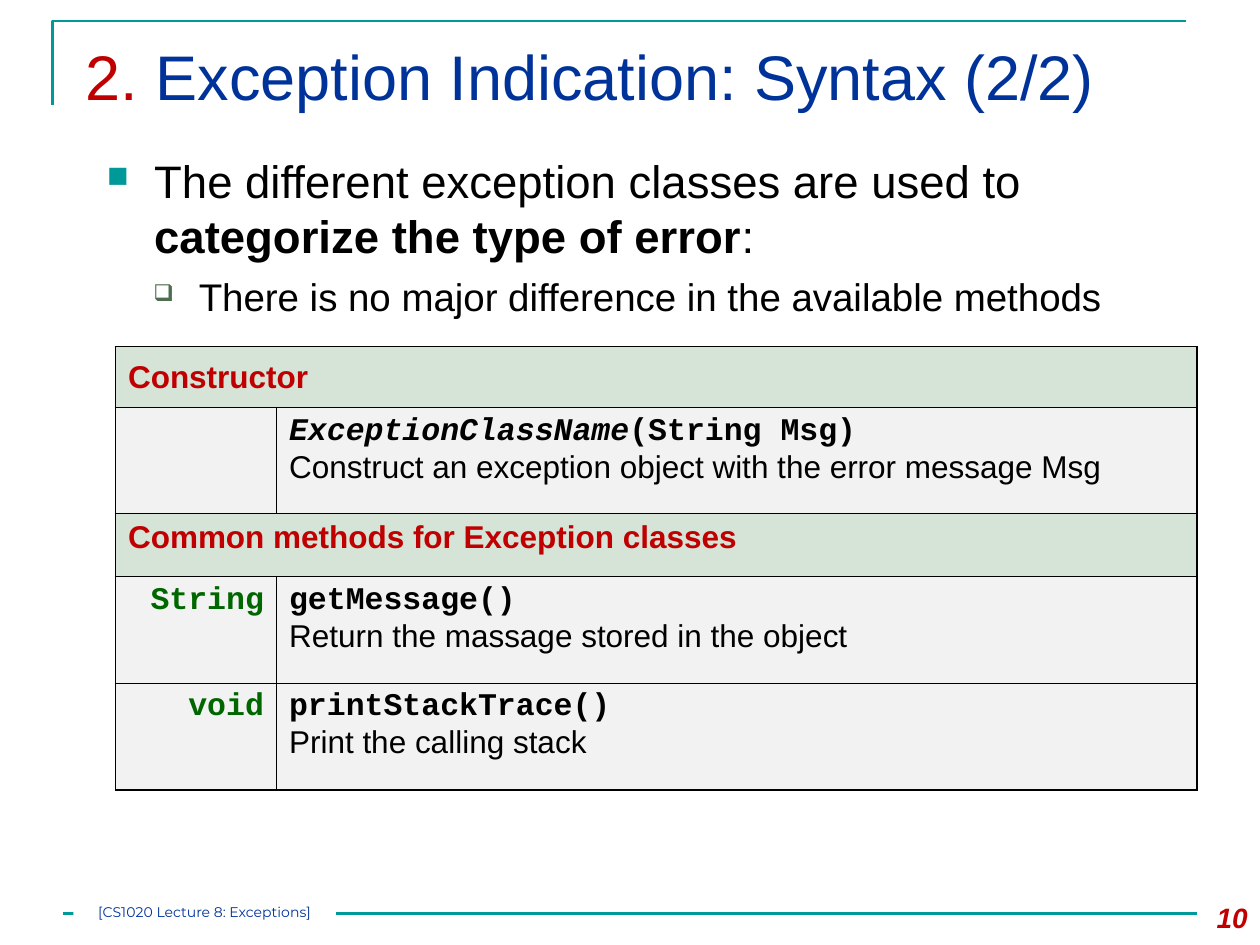
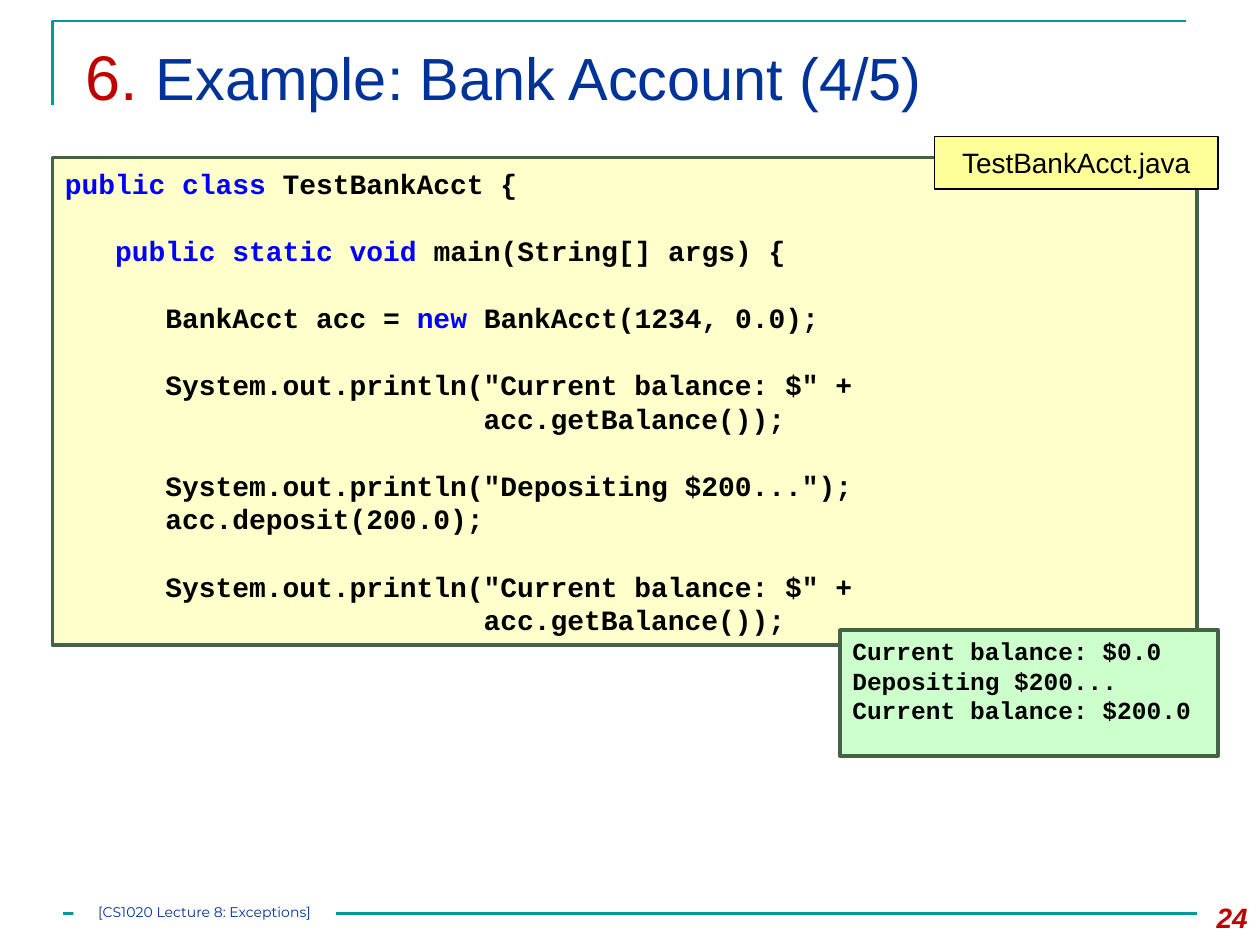
from typing import NamedTuple

from lxml.etree import SubElement
from pptx import Presentation
from pptx.dml.color import RGBColor
from pptx.enum.shapes import MSO_CONNECTOR, MSO_SHAPE
from pptx.enum.text import MSO_ANCHOR, PP_ALIGN
from pptx.oxml.ns import qn
from pptx.util import Pt

TEAL, NAVY, RED, BLACK, WHITE = "009999", "003399", "C00000", "000000", "FFFFFF"
GREEN, KEYWORD, MOSS, DARK_GREEN = "006600", "0000FF", "4C6D4E", "446246"
HEADER_FILL, ROW_FILL = "D6E3D7", "F2F2F2"
SANS, MONO, FOOTER_FONT = "Arial", "Courier New", "Montserrat"
LINE_FACTOR = 1.2
FOOTER = "[CS1020 Lecture 8: Exceptions]"


class Box(NamedTuple):
    left: float
    top: float
    width: float
    height: float

    def points(self):
        return [Pt(value) for value in self]


class Bullet(NamedTuple):
    character: str
    color: str
    percent: int
    margin: float
    hanging: float


class Method(NamedTuple):
    returns: str
    name: str
    purpose: str


class CodeLine(NamedTuple):
    before: str = ""
    keyword: str = ""
    after: str = ""


SQUARE = Bullet("■", TEAL, 65, 27, 27)
HOLLOW_SQUARE = Bullet("❑", MOSS, 60, 52.5, 26)

METHODS = [
    Method("String", "getMessage()", "Return the massage stored in the object"),
    Method("void", "printStackTrace()", "Print the calling stack"),
]

PRINT_BALANCE = [
    CodeLine('      System.out.println("Current balance: $" +'),
    CodeLine("                         acc.getBalance());"),
]
CODE = [
    CodeLine("", "public class ", "TestBankAcct {"),
    CodeLine(),
    CodeLine("   ", "public static void ", "main(String[] args) {"),
    CodeLine(),
    CodeLine("      BankAcct acc = ", "new ", "BankAcct(1234, 0.0);"),
    CodeLine(),
    *PRINT_BALANCE,
    CodeLine(),
    CodeLine('      System.out.println("Depositing $200...");'),
    CodeLine("      acc.deposit(200.0);"),
    CodeLine(),
    *PRINT_BALANCE,
]
OUTPUT = ["Current balance: $0.0", "Depositing $200...", "Current balance: $200.0"]


def rgb(color: str) -> RGBColor:
    return RGBColor.from_string(color)


# Text
def write(paragraph, text: str, *, size=18, font=SANS, color=BLACK,
          bold=False, italic=False) -> None:
    run = paragraph.add_run()
    run.text = text
    run.font.size = Pt(size)
    run.font.name = font
    run.font.color.rgb = rgb(color)
    run.font.bold = bold
    run.font.italic = italic


def next_paragraph(frame, size: float, align=PP_ALIGN.LEFT):
    """Return the empty first paragraph, or a new one after written text."""
    first = frame.paragraphs[0]
    unused = len(frame.paragraphs) == 1 and first.line_spacing is None
    paragraph = first if unused else frame.add_paragraph()
    paragraph.line_spacing = Pt(size * LINE_FACTOR)
    paragraph.alignment = align
    return paragraph


def add_bullet(paragraph, bullet: Bullet) -> None:
    properties = paragraph._p.get_or_add_pPr()
    properties.set("marL", str(Pt(bullet.margin)))
    properties.set("indent", str(-Pt(bullet.hanging)))
    color = SubElement(properties, qn("a:buClr"))
    SubElement(color, qn("a:srgbClr"), val=bullet.color)
    SubElement(properties, qn("a:buSzPct"), val=str(bullet.percent * 1000))
    SubElement(properties, qn("a:buChar"), char=bullet.character)


def add_text_box(slide, box: Box):
    frame = slide.shapes.add_textbox(*box.points()).text_frame
    frame.word_wrap = True
    return frame


# Shapes
def add_panel(slide, box: Box, fill: str, line="", line_width=2.0,
              anchor=MSO_ANCHOR.TOP):
    shape = slide.shapes.add_shape(MSO_SHAPE.RECTANGLE, *box.points())
    shape.shadow.inherit = False
    shape.fill.solid()
    shape.fill.fore_color.rgb = rgb(fill)
    if line:
        shape.line.color.rgb = rgb(line)
        shape.line.width = Pt(line_width)
    else:
        shape.line.fill.background()
    frame = shape.text_frame
    frame.word_wrap = True
    frame.vertical_anchor = anchor
    return frame


def add_frame(slide) -> None:
    """Draw the corner outline, the footer rule and the footer label."""
    builder = slide.shapes.build_freeform(Pt(30), Pt(60))
    builder.add_line_segments([(Pt(30), Pt(12)), (Pt(678), Pt(12))], close=False)
    corner = builder.convert_to_shape()
    corner.shadow.inherit = False
    corner.fill.background()
    rule = slide.shapes.add_connector(
        MSO_CONNECTOR.STRAIGHT, Pt(36), Pt(522), Pt(684), Pt(522))
    SubElement(rule._element.spPr, qn("a:effectLst"))
    for outline in (corner.line, rule.line):
        outline.color.rgb = rgb(TEAL)
        outline.width = Pt(1.5)
    label = add_panel(slide, Box(42, 516, 150, 12), WHITE)
    label.margin_left = label.margin_right = 0
    label.margin_top = label.margin_bottom = 0
    write(next_paragraph(label, 8, PP_ALIGN.CENTER), FOOTER,
          size=8, font=FOOTER_FONT, color=NAVY)


def start_slide(presentation, section: str, title: str, number: int, title_size=36):
    slide = presentation.slides.add_slide(presentation.slide_layouts[6])
    add_frame(slide)
    heading = next_paragraph(add_text_box(slide, Box(42, 18, 660, 62)), 36)
    write(heading, section, size=36, color=RED)
    write(heading, title, size=title_size, color=NAVY)
    page = add_text_box(slide, Box(672, 511, 48, 29))
    write(next_paragraph(page, 16, PP_ALIGN.RIGHT), str(number),
          size=16, color=RED, bold=True, italic=True)
    return slide


# Table
def style_cell(cell, fill: str) -> None:
    cell.fill.solid()
    cell.fill.fore_color.rgb = rgb(fill)
    properties = cell._tc.get_or_add_tcPr()
    for position, side in enumerate(("lnL", "lnR", "lnT", "lnB")):
        border = SubElement(properties, qn(f"a:{side}"), w=str(Pt(1)))
        solid = SubElement(border, qn("a:solidFill"))
        SubElement(solid, qn("a:srgbClr"), val=BLACK)
        properties.insert(position, border)


def add_header_row(table, row: int, text: str) -> None:
    table.cell(row, 0).merge(table.cell(row, 1))
    write(table.cell(row, 0).text_frame.paragraphs[0], text, color=RED, bold=True)


def add_methods_table(slide) -> None:
    heights = [35, 60.5, 36, 61, 61]
    graphic = slide.shapes.add_table(
        len(heights), 2, *Box(66, 198, 618, sum(heights)).points())
    table = graphic.table
    table.first_row = table.horz_banding = False
    for column, width in zip(table.columns, (92, 526)):
        column.width = Pt(width)
    for index, height in enumerate(heights):
        table.rows[index].height = Pt(height)
        for cell in table.rows[index].cells:
            style_cell(cell, HEADER_FILL if index in (0, 2) else ROW_FILL)

    add_header_row(table, 0, "Constructor")
    table.cell(0, 0).vertical_anchor = MSO_ANCHOR.MIDDLE
    constructor = table.cell(1, 1).text_frame.paragraphs[0]
    write(constructor, "ExceptionClassName", font=MONO, bold=True, italic=True)
    write(constructor, "(String Msg)", font=MONO, bold=True)
    constructor.add_line_break()
    write(constructor, "Construct an exception object with the error message Msg")

    add_header_row(table, 2, "Common methods for Exception classes")
    for row, method in enumerate(METHODS, start=3):
        returns = table.cell(row, 0).text_frame.paragraphs[0]
        returns.alignment = PP_ALIGN.RIGHT
        write(returns, method.returns, font=MONO, color=GREEN, bold=True)
        description = table.cell(row, 1).text_frame
        write(description.paragraphs[0], method.name, font=MONO, bold=True)
        write(description.add_paragraph(), method.purpose)


# Slides
def build_syntax_slide(presentation) -> None:
    slide = start_slide(presentation, "2. ", "Exception Indication: Syntax (2/2)", 10)
    body = add_text_box(slide, Box(54, 84, 630, 120))
    point = next_paragraph(body, 26)
    add_bullet(point, SQUARE)
    write(point, "The different exception classes are used to ", size=26)
    write(point, "categorize the type of error", size=26, bold=True)
    write(point, ":", size=26)
    detail = next_paragraph(body, 22)
    detail.level = 1
    detail.space_before = Pt(6)
    add_bullet(detail, HOLLOW_SQUARE)
    write(detail, "There is no major difference in the available methods", size=22)
    add_methods_table(slide)


def build_example_slide(presentation) -> None:
    slide = start_slide(presentation, "6. ", "Example: Bank Account (4/5)", 24,
                        title_size=34)
    # Program listing
    listing = add_panel(slide, Box(30, 90, 654, 278.6), "FFFFCC", DARK_GREEN)
    listing.margin_top = Pt(5)
    for line in CODE:
        paragraph = next_paragraph(listing, 16)
        for text, color in zip(line, (BLACK, KEYWORD, BLACK)):
            if text:
                write(paragraph, text, size=16, font=MONO, color=color, bold=True)
    # File name tag
    tag = add_panel(slide, Box(534, 78, 162, 30), "FFFF99", BLACK, 0.75,
                    MSO_ANCHOR.MIDDLE)
    write(next_paragraph(tag, 16, PP_ALIGN.CENTER), "TestBankAcct.java", size=16)
    # Program output
    console = add_panel(slide, Box(480, 360, 216, 72), "CCFFCC", DARK_GREEN)
    for text in OUTPUT:
        write(next_paragraph(console, 14), text, size=14, font=MONO, bold=True)


def main() -> None:
    presentation = Presentation()
    presentation.slide_width = Pt(720)
    presentation.slide_height = Pt(540)
    build_syntax_slide(presentation)
    build_example_slide(presentation)
    presentation.save("out.pptx")


if __name__ == "__main__":
    main()
